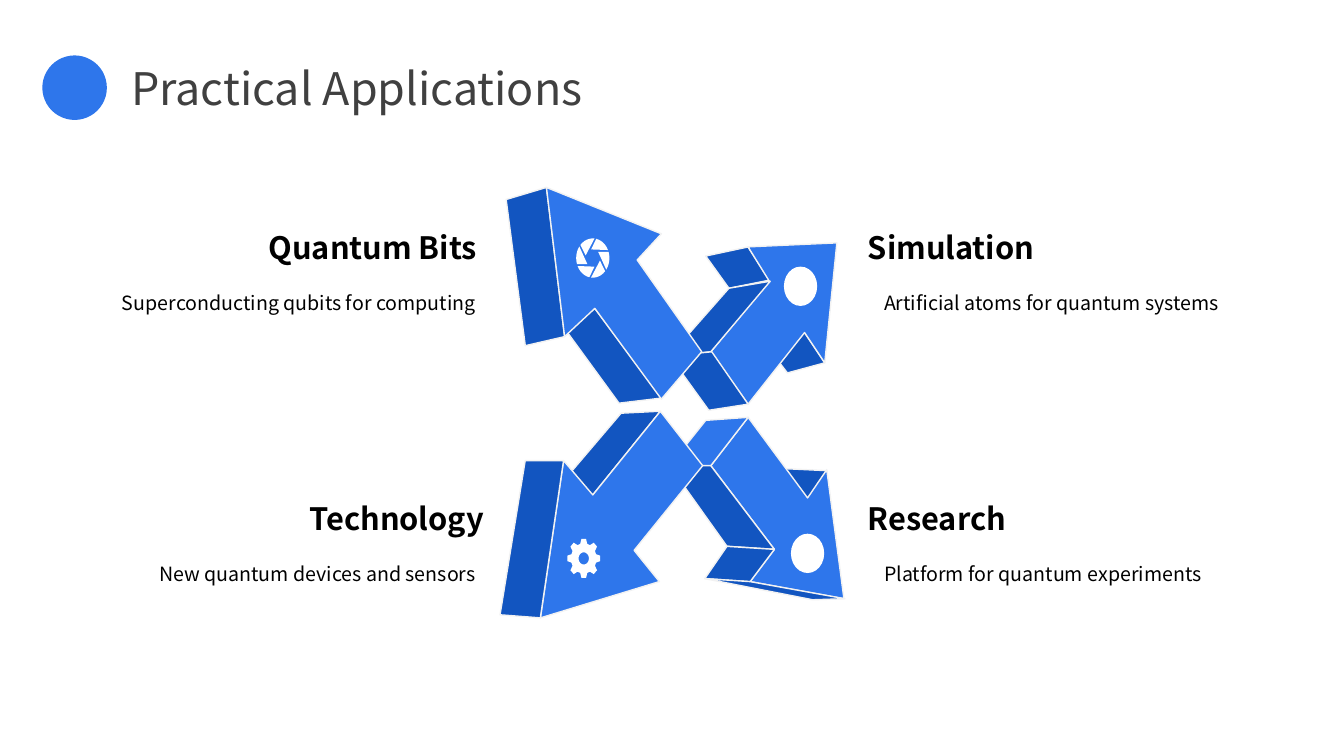
from math import cos, radians, sin

from lxml.etree import SubElement
from pptx import Presentation
from pptx.dml.color import RGBColor
from pptx.enum.shapes import MSO_SHAPE
from pptx.enum.text import MSO_ANCHOR, PP_ALIGN
from pptx.util import Pt

PX = 9144  # EMU in one px, 100 px to the inch
FONT = "Noto Sans CJK SC"
BLUE, DARK, EDGE = "2E76EB", "1255C0", "F2F2F2"
WHITE, BLACK, GRAY = "FFFFFF", "000000", "404040"
LEFT, RIGHT = PP_ALIGN.LEFT, PP_ALIGN.RIGHT
ICON_W, ICON_H = 33, 39

# Arrows: origin, then faces from back to front, as points from that origin
ARROWS = [
    ((664, 241), [
        (DARK, [(36, 13), (78, 4), (99, 37), (59, 45)]),
        (DARK, [(117, 129), (154, 119), (134, 89), (96, 102)]),
        (BLUE, [(78, 4), (166, 0), (154, 119), (134, 89), (78, 160),
                (41, 108), (99, 38)]),
        (DARK, [(59, 45), (100, 38), (41, 108), (0, 112)]),
        (DARK, [(78, 160), (39, 166), (0, 112), (42, 108)]),
    ]),
    ((502, 186), [
        (DARK, [(0, 12), (40, 0), (58, 148), (19, 157)]),
        (DARK, [(154, 209), (88, 120), (58, 140), (112, 214)]),
        (BLUE, [(40, 0), (154, 46), (130, 72), (194, 163), (154, 210),
                (88, 120), (58, 148)]),
    ]),
    ((664, 414), [
        (DARK, [(156, 53), (137, 81), (101, 81), (115, 51)]),
        (BLUE, [(41, 48), (78, 0), (137, 80), (156, 52), (173, 180),
                (80, 163), (104, 131)]),
        (BLUE, [(78, 0), (41, 48), (0, 48), (36, 3)]),
        (DARK, [(0, 48), (41, 48), (104, 131), (57, 128)]),
        (DARK, [(57, 128), (35, 160), (80, 163), (104, 131)]),
        (DARK, [(35, 160), (80, 163), (174, 180), (142, 181)]),
    ]),
    ((496, 408), [
        (DARK, [(159, 0), (92, 83), (57, 76), (120, 2)]),
        (BLUE, [(159, 0), (201, 54), (133, 138), (158, 169), (40, 205),
                (63, 49), (92, 83)]),
        (DARK, [(63, 49), (40, 205), (0, 202), (25, 49)]),
    ]),
]

# Labels: head box, note box, side, head, note
LABELS = [
    ((851, 222, 397, 47), (867, 272, 380, 77), LEFT,
     "Simulation", "Artificial atoms for quantum systems"),
    ((851, 491, 397, 47), (867, 541, 380, 77), LEFT,
     "Research", "Platform for quantum experiments"),
    ((115, 222, 368, 47), (102, 272, 380, 77), RIGHT,
     "Quantum Bits", "Superconducting qubits for computing"),
    ((119, 491, 371, 47), (102, 541, 380, 77), RIGHT,
     "Technology", "New quantum devices and sensors"),
]


def emu(*vals):
    return [round(v * PX) for v in vals]


def hue(code):
    return RGBColor.from_string(code)


def paint(shape, fill, line=None):
    shape.shadow.inherit = False
    shape.fill.solid()
    shape.fill.fore_color.rgb = hue(fill)
    if line:
        shape.line.color.rgb = hue(line)
        shape.line.width = Pt(1)
    else:
        shape.line.fill.background()


def outline(slide, loops, fill, line=None):
    """Draw closed loops of px points as one shape."""
    loops = [[emu(*spot) for spot in loop] for loop in loops]
    pen = slide.shapes.build_freeform(*loops[0][0])
    for loop in loops:
        if loop is not loops[0]:
            pen.move_to(*loop[0])
        pen.add_line_segments(loop[1:], close=True)
    paint(pen.convert_to_shape(), fill, line)


def disc(slide, box, fill):
    paint(slide.shapes.add_shape(MSO_SHAPE.OVAL, *emu(*box)), fill)


def write(frame, text, size, color, bold=False, side=LEFT):
    frame.word_wrap = True
    para = frame.paragraphs[0]
    para.alignment = side
    run = para.add_run()
    run.text = text
    font = run.font
    font.name, font.size, font.bold = FONT, Pt(size), bold
    font.color.rgb = hue(color)
    # The same face for East Asian text
    SubElement(run._r.get_or_add_rPr(),
               "{http://schemas.openxmlformats.org/drawingml/2006/main}ea",
               typeface=FONT)
    return para


def header(slide, box):
    x, y, w, h = box
    title = slide.shapes.title
    title.left, title.top, title.width, title.height = emu(x + 78, y, w - 78, h)
    frame = title.text_frame
    frame.vertical_anchor = MSO_ANCHOR.MIDDLE
    write(frame, "Practical Applications", 32, GRAY)
    disc(slide, (x, y, h, h), BLUE)


def arrow(slide, spot, faces):
    left, top = spot
    for fill, points in faces:
        outline(slide, [[(left + x, top + y) for x, y in points]], fill, EDGE)


def label(slide, head_box, note_box, side, head, note):
    box = slide.shapes.add_textbox(*emu(*head_box))
    write(box.text_frame, head, 22, BLACK, True, side)
    box = slide.shapes.add_textbox(*emu(*note_box))
    para = write(box.text_frame, note, 14, BLACK, False, side)
    para.line_spacing = 1.5
    para.space_before = Pt(10)


def polar(box, turn, reach=1):
    """Point at an angle in the oval that fills the box."""
    x, y, w, h = box
    turn = radians(turn)
    return (x + w / 2 * (1 + reach * cos(turn)),
            y + h / 2 * (1 + reach * sin(turn)))


def gear(slide, box):
    rim = [polar(box, 45 * tooth + turn, reach)
           for tooth in range(8)
           for turn, reach in ((-16, 0.77), (-8, 1), (8, 1), (16, 0.77))]
    hole = [polar(box, turn, 0.31) for turn in range(360, 0, -15)]
    outline(slide, [rim, hole], WHITE)


def lens(slide, box):
    blades = []
    for start in range(0, 360, 60):
        arc = [polar(box, start - turn) for turn in range(84, 139, 9)]
        blades.append(arc + [polar(box, start - 163, 0.45)])
    outline(slide, blades, WHITE)


def icon_box(x, y):
    return x - ICON_W / 2, y - ICON_H / 2, ICON_W, ICON_H


def main():
    deck = Presentation()
    deck.slide_width, deck.slide_height = emu(1333, 750)
    slide = deck.slides.add_slide(deck.slide_layouts[5])

    # Arrows
    for spot, faces in ARROWS:
        arrow(slide, spot, faces)

    # Icons
    disc(slide, icon_box(801, 549), WHITE)
    disc(slide, icon_box(794, 284), WHITE)
    gear(slide, icon_box(579, 554))
    lens(slide, icon_box(588, 256))

    # Labels and title
    for item in LABELS:
        label(slide, *item)
    header(slide, (42, 55, 1174, 64))

    deck.save("out.pptx")


if __name__ == "__main__":
    main()
